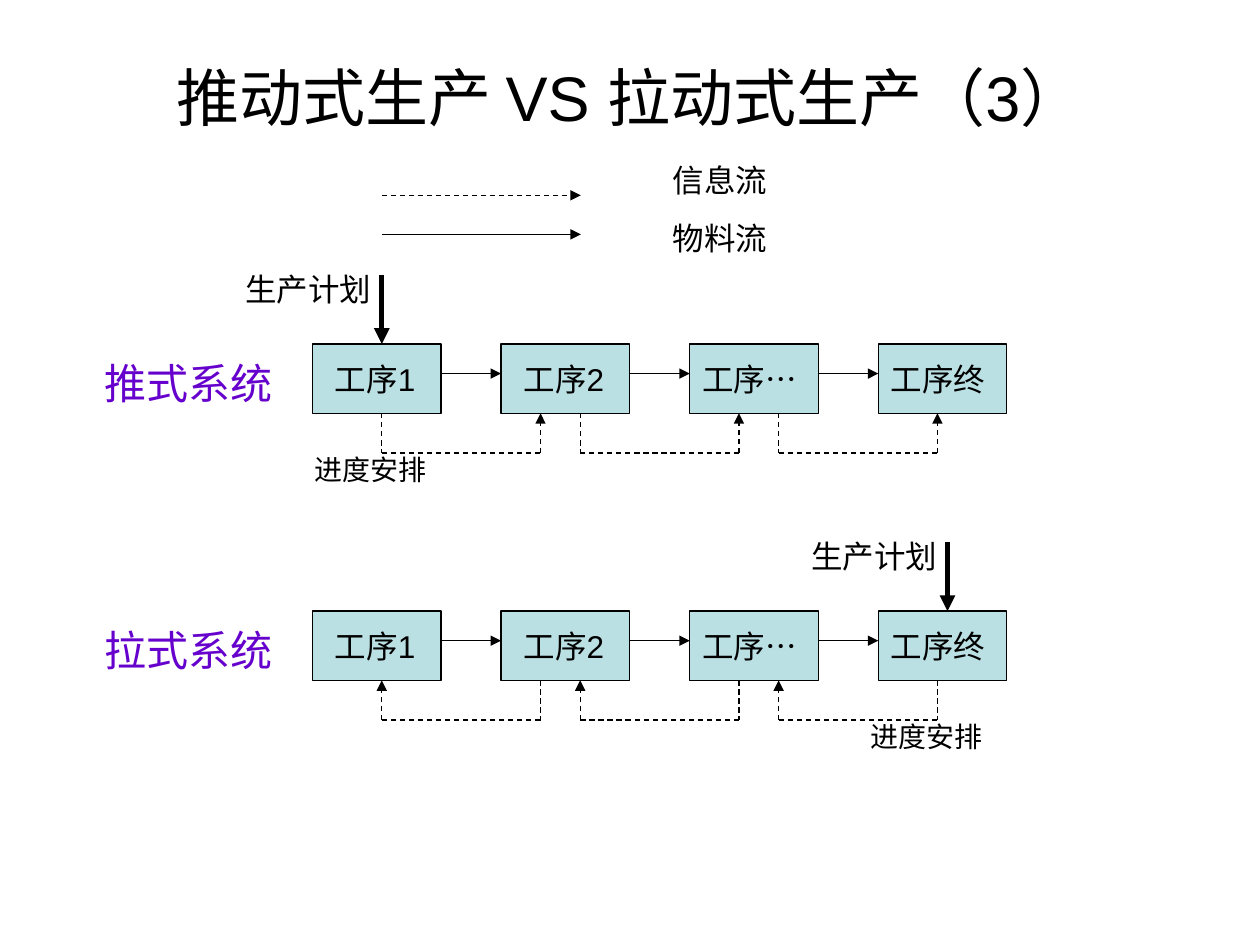
from lxml import etree
from pptx import Presentation
from pptx.dml.color import RGBColor
from pptx.enum.dml import MSO_LINE
from pptx.enum.shapes import MSO_CONNECTOR, MSO_SHAPE
from pptx.enum.text import MSO_ANCHOR, PP_ALIGN
from pptx.oxml.ns import qn
from pptx.util import Inches, Pt

STRAIGHT = MSO_CONNECTOR.STRAIGHT
RECTANGLE = MSO_SHAPE.RECTANGLE
DASH = MSO_LINE.DASH
MIDDLE = MSO_ANCHOR.MIDDLE
CENTER = PP_ALIGN.CENTER

BLACK = RGBColor(0x00, 0x00, 0x00)
TEAL = RGBColor(0xBB, 0xE0, 0xE3)
PURPLE = RGBColor(0x66, 0x00, 0xCC)

LATIN_FONT = "Arial"
CJK_FONT = "Noto Sans CJK SC"

BOX_W, BOX_H = 1.02, 0.55
BOX_LEFT, BOX_PITCH = 2.48, 1.497
# Step name, indent from its box, text width
STEPS = [("工序1", 0.08, 0.94), ("工序2", 0.08, 0.94),
         ("工序…", 0, 1.18), ("工序终", 0, 1.02)]
LOOP_LEFT, LOOP_PITCH, LOOP_W, LOOP_DROP = 3.03, 1.575, 1.26, 0.315
PUSH_TOP, PULL_TOP = 2.73, 4.85


class FlowSlide:
    def __init__(self, slide):
        self.shapes = slide.shapes

    def box(self, x, y):
        sp = self.shapes.add_shape(RECTANGLE, Inches(x), Inches(y),
                                   Inches(BOX_W), Inches(BOX_H))
        sp.shadow.inherit = False
        sp.fill.solid()
        sp.fill.fore_color.rgb = TEAL
        sp.line.color.rgb = BLACK
        sp.line.width = Pt(0.75)

    def text(self, text, x, y, w, h, size=18, color=BLACK, font=LATIN_FONT,
             wrap=True, space=0):
        """Add a text box; space is the gap in points between paragraphs."""
        sp = self.shapes.add_textbox(Inches(x), Inches(y), Inches(w), Inches(h))
        tf = sp.text_frame
        tf.word_wrap = wrap
        tf.text = text
        for i, p in enumerate(tf.paragraphs):
            if i:
                p.space_before = Pt(space)
            for r in p.runs:
                r.font.size = Pt(size)
                r.font.name = font
                r.font.color.rgb = color
                ea = etree.SubElement(r.font._element, qn("a:ea"))
                ea.set("typeface", CJK_FONT)
        return tf

    def line(self, x1, y1, x2, y2, width=0.75, dashed=False, arrow=True):
        cxn = self.shapes.add_connector(STRAIGHT, Inches(x1), Inches(y1),
                                        Inches(x2), Inches(y2))
        cxn.line.color.rgb = BLACK
        cxn.line.width = Pt(width)
        if dashed:
            cxn.line.dash_style = DASH
        if arrow:
            tail = etree.SubElement(cxn.line._get_or_add_ln(), qn("a:tailEnd"))
            tail.set("type", "triangle")
        etree.SubElement(cxn._element.spPr, qn("a:effectLst"))

    def loop(self, start, end, y):
        """Dashed information path that runs below the boxes."""
        low = y + LOOP_DROP
        self.line(start, y, start, low, dashed=True, arrow=False)
        self.line(start, low, end, low, dashed=True, arrow=False)
        self.line(end, low, end, y, dashed=True)

    def system(self, name, top, plan_x, schedule_x, pull):
        """One row of steps with its plan, material and information flows."""
        bottom = top + BOX_H
        lefts = [BOX_LEFT + i * BOX_PITCH for i in range(len(STEPS))]
        for x, (step, indent, width) in zip(lefts, STEPS):
            self.box(x, top)
            self.text(step, x + indent, top + 0.08, width, 0.4)
        for i, (x, following) in enumerate(zip(lefts, lefts[1:])):
            self.line(x + BOX_W, top + 0.235, following, top + 0.235)
            left = LOOP_LEFT + i * LOOP_PITCH
            ends = (left, left + LOOP_W)
            start, end = reversed(ends) if pull else ends
            self.loop(start, end, bottom)
        self.line(plan_x, top - 0.55, plan_x, top, width=3)
        self.text("生产计划", plan_x - 1.18, top - 0.64, 1.26, 0.4)
        self.text("进度安排", schedule_x, top + 0.81, 1.18, 0.37, size=16)
        self.text(name, 0.73, top + 0.06, 1.53, 0.51, size=24, color=PURPLE,
                  font=CJK_FONT, wrap=False).paragraphs[0].alignment = CENTER


def main():
    prs = Presentation()
    prs.slide_width, prs.slide_height = Inches(10), Inches(7.5)
    s = FlowSlide(prs.slides.add_slide(prs.slide_layouts[6]))

    title = s.text("推动式生产 VS 拉动式生产（3）", 0.5, 0.3, 9, 0.93, size=36)
    title.vertical_anchor = MIDDLE
    title.paragraphs[0].alignment = CENTER

    s.line(3.03, 1.55, 4.61, 1.55, dashed=True)
    s.line(3.03, 1.86, 4.61, 1.86)
    s.text("信息流\n物料流", 5.24, 1.23, 1.81, 0.86, space=11.2)

    s.system("推式系统", PUSH_TOP, plan_x=3.03, schedule_x=2.4, pull=False)
    s.system("拉式系统", PULL_TOP, plan_x=7.52, schedule_x=6.81, pull=True)
    prs.save("out.pptx")


if __name__ == "__main__":
    main()
